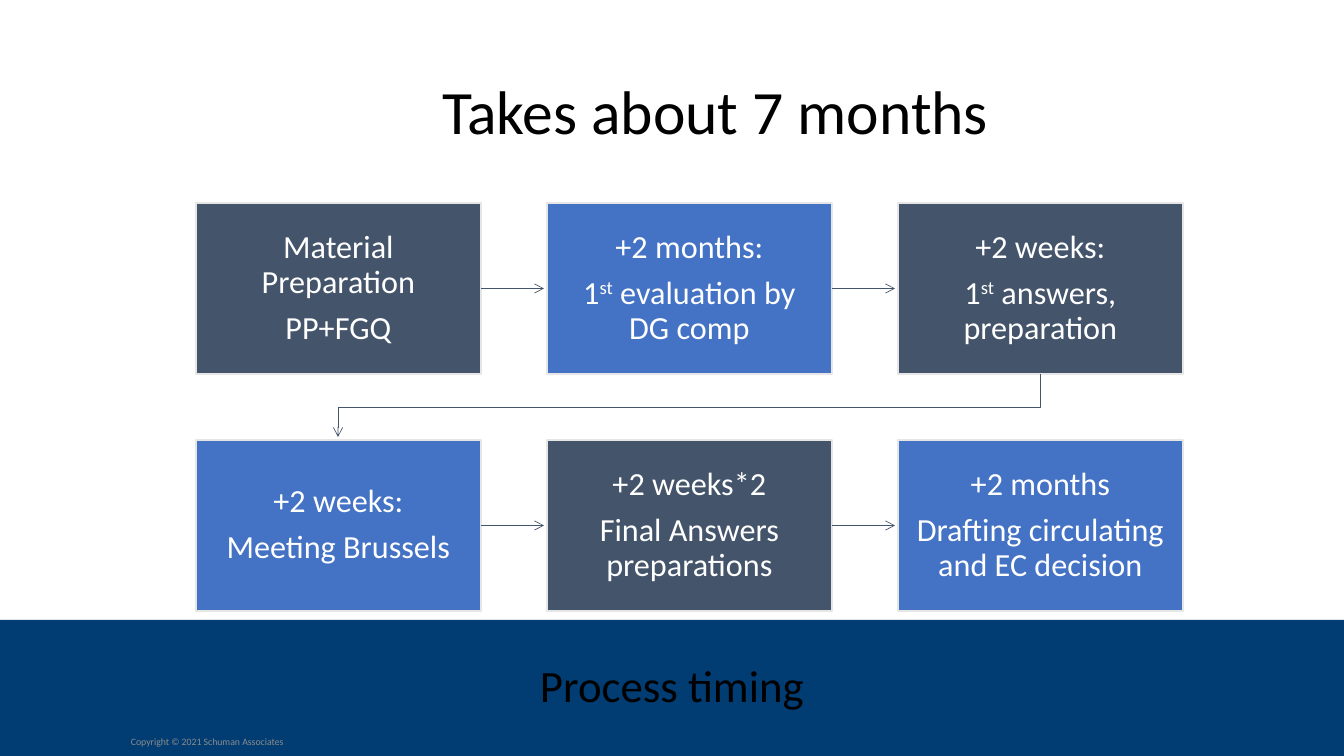
from dataclasses import dataclass

from lxml import etree
from pptx import Presentation
from pptx import util as u
from pptx.dml.color import RGBColor
from pptx.enum import shapes, text
from pptx.oxml import ns
from pptx.shapes.autoshape import Shape
from pptx.shapes.connector import Connector
from pptx.slide import Slide
from pptx.text.text import TextFrame

EMU_PER_PX = 914400 / 100.8
FONT = "Calibri"
COLOURS = {
    "band": "013D73",
    "slate": "44546A",
    "blue": "4472C4",
    "border": "E7E6E6",
    "black": "000000",
    "white": "FFFFFF",
    "grey": "8C8C8C",
}

COLUMNS = 3
GRID_LEFT, GRID_TOP = 196, 203
PITCH_X, PITCH_Y = 351, 237
BOX_WIDTH, BOX_HEIGHT = 285, 171
ARROW_GAP = 3


@dataclass(frozen=True)
class Step:
    paragraphs: tuple[str, ...]


STEPS = [
    Step(("Material Preparation", "PP+FGQ")),
    Step(("+2 months:", "1^st^ evaluation by DG comp")),
    Step(("+2 weeks:", "1^st^ answers, preparation")),
    Step(("+2 weeks:", "Meeting Brussels")),
    Step(("+2 weeks*2", "Final Answers preparations")),
    Step(("+2 months", "Drafting circulating and EC decision")),
]


def px(length: int) -> u.Emu:
    return u.Emu(round(length * EMU_PER_PX))


def colour(name: str) -> RGBColor:
    return RGBColor.from_string(COLOURS[name])


def write(frame: TextFrame, *paragraphs: str, size: int, ink: str,
          align: text.PP_ALIGN = text.PP_ALIGN.CENTER,
          anchor: text.MSO_ANCHOR = text.MSO_ANCHOR.MIDDLE,
          gap: int = 0, inset: int | None = None) -> None:
    """Fill a frame; text between carets is set as superscript."""
    frame.word_wrap = True
    frame.auto_size = text.MSO_AUTO_SIZE.NONE
    frame.vertical_anchor = anchor
    if inset is not None:
        frame.margin_left = frame.margin_right = px(inset)
        frame.margin_top = frame.margin_bottom = px(inset)
    for index, content in enumerate(paragraphs):
        paragraph = frame.add_paragraph() if index else frame.paragraphs[0]
        paragraph.alignment = align
        paragraph.line_spacing = 0.9
        paragraph.space_before = u.Pt(gap if index else 0)
        for part, piece in enumerate(content.split("^")):
            run = paragraph.add_run()
            run.text = piece
            run.font.name = FONT
            run.font.size = u.Pt(size)
            run.font.color.rgb = colour(ink)
            if part % 2:
                run._r.get_or_add_rPr().set("baseline", "30000")


def add_rectangle(slide: Slide, left: int, top: int, width: int, height: int,
                  fill: str, border: str | None = None) -> Shape:
    shape = slide.shapes.add_shape(shapes.MSO_SHAPE.RECTANGLE,
                                   px(left), px(top), px(width), px(height))
    shape.shadow.inherit = False
    shape.fill.solid()
    shape.fill.fore_color.rgb = colour(fill)
    if border:
        shape.line.color.rgb = colour(border)
        shape.line.width = u.Pt(1)
    else:
        shape.line.fill.background()
    return shape


def style_arrow(shape: Shape | Connector) -> None:
    shape.line.color.rgb = colour("slate")
    shape.line.width = u.Pt(0.5)
    line = shape.line._get_or_add_ln()
    etree.SubElement(line, ns.qn("a:tailEnd"), type="arrow")


def add_arrow(slide: Slide, box: Shape, left: int, top: int) -> None:
    """Point from a box to just before the next one in its row."""
    middle = px(top) + px(BOX_HEIGHT) // 2
    arrow = slide.shapes.add_connector(
        shapes.MSO_CONNECTOR.STRAIGHT, px(left + BOX_WIDTH), middle,
        px(left + PITCH_X - ARROW_GAP), middle)
    arrow.begin_connect(box, 3)
    style_arrow(arrow)
    etree.SubElement(arrow._element.spPr, ns.qn("a:effectLst"))


def add_row_return(slide: Slide) -> None:
    """Lead from the last box of the top row to the first of the next."""
    first = GRID_LEFT + BOX_WIDTH // 2
    last = first + (COLUMNS - 1) * PITCH_X
    bottom = GRID_TOP + BOX_HEIGHT
    turn = (bottom + GRID_TOP + PITCH_Y) // 2
    end = GRID_TOP + PITCH_Y - ARROW_GAP
    builder = slide.shapes.build_freeform(px(last), px(bottom))
    builder.add_line_segments([(px(last), px(turn)), (px(first), px(turn)),
                               (px(first), px(end))], close=False)
    shape = builder.convert_to_shape()
    shape.shadow.inherit = False
    shape.fill.background()
    style_arrow(shape)


def add_steps(slide: Slide) -> None:
    for index, step in enumerate(STEPS):
        row, column = divmod(index, COLUMNS)
        left = GRID_LEFT + column * PITCH_X
        top = GRID_TOP + row * PITCH_Y
        box = add_rectangle(slide, left, top, BOX_WIDTH, BOX_HEIGHT,
                            "blue" if index % 2 else "slate", "border")
        write(box.text_frame, *step.paragraphs, size=23, ink="white",
              gap=8, inset=18)
        if column < COLUMNS - 1:
            add_arrow(slide, box, left, top)
    add_row_return(slide)


def main() -> None:
    presentation = Presentation()
    presentation.slide_width, presentation.slide_height = px(1344), px(756)
    slide = presentation.slides.add_slide(presentation.slide_layouts[5])

    band = add_rectangle(slide, 0, 620, 1344, 136, "band")
    write(band.text_frame, "Process timing", size=32, ink="black")

    copyright_line = slide.shapes.add_textbox(px(121), px(726), px(210), px(33))
    write(copyright_line.text_frame, "Copyright © 2021 Schuman Associates",
          size=7, ink="grey", align=text.PP_ALIGN.LEFT)

    title = slide.shapes.title
    title.left, title.top = px(163), px(76)
    title.width, title.height = px(1105), px(194)
    write(title.text_frame, "Takes about 7 months", size=44, ink="black",
          anchor=text.MSO_ANCHOR.TOP)

    add_steps(slide)
    presentation.save("out.pptx")


if __name__ == "__main__":
    main()
